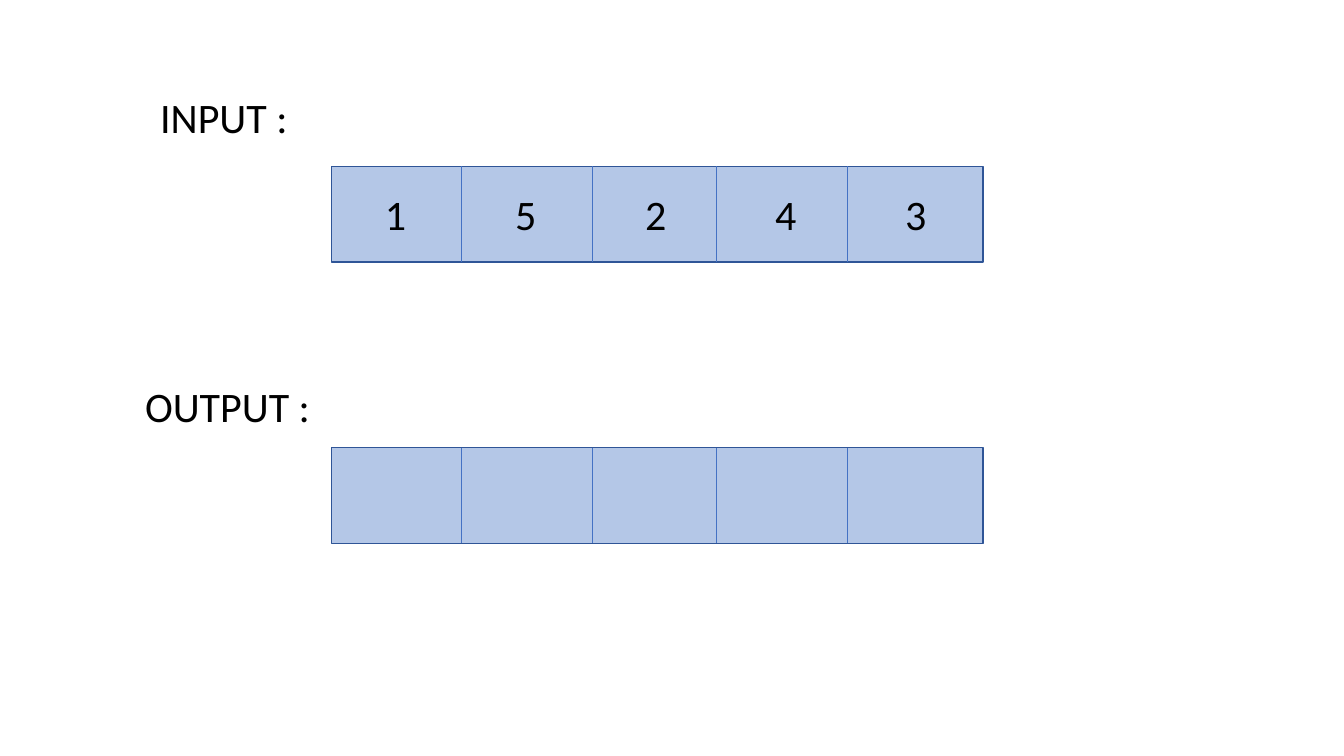
from pptx import Presentation
from pptx.dml.color import RGBColor
from pptx.enum.shapes import MSO_CONNECTOR, MSO_SHAPE
from pptx.enum.text import MSO_AUTO_SIZE
from pptx.util import Inches, Pt
from lxml import etree

RECT = MSO_SHAPE.RECTANGLE
LINE = MSO_CONNECTOR.STRAIGHT
GROW = MSO_AUTO_SIZE.SHAPE_TO_FIT_TEXT
FILL = RGBColor(0xB4, 0xC7, 0xE7)
EDGE = RGBColor(0x2F, 0x55, 0x97)
RULE = RGBColor(0x44, 0x72, 0xC4)
BLACK = RGBColor(0, 0, 0)
NS = "http://schemas.openxmlformats.org/drawingml/2006/main"

# Grid of the two arrays, in inches
LEFT, WIDTH, HIGH = 3.29, 6.46, 0.95
RULES = [4.58, 5.88, 7.1, 8.4]
DIGIT, STEP = 3.72, 1.29
TEXT_HIGH = 0.61

deck = Presentation()
deck.slide_width, deck.slide_height = Inches(13.33), Inches(7.5)
slide = deck.slides.add_slide(deck.slide_layouts[6])
shapes = slide.shapes


def add_text(text, left, top, width):
    box = shapes.add_textbox(Inches(left), Inches(top), Inches(width), Inches(TEXT_HIGH))
    frame = box.text_frame
    frame.word_wrap = True
    frame.auto_size = GROW
    para = frame.paragraphs[0]
    para.text = text
    para.font.name = "Calibri"
    para.font.size = Pt(30)
    para.font.color.rgb = BLACK


arrays = [
    ("INPUT :", 1.49, 0.86, 1.66, 1.65, "15243"),
    ("OUTPUT :", 1.34, 3.73, 1.95, 4.44, ""),
]
for label, left, label_top, width, top, digits in arrays:
    # Array bar
    bar = shapes.add_shape(RECT, Inches(LEFT), Inches(top), Inches(WIDTH), Inches(HIGH))
    bar.shadow.inherit = False
    bar.fill.solid()
    bar.fill.fore_color.rgb = FILL
    bar.line.color.rgb = EDGE
    bar.line.width = Pt(1)

    # Cell dividers
    for x in RULES:
        rule = shapes.add_connector(LINE, Inches(x), Inches(top), Inches(x), Inches(top + HIGH))
        rule.line.color.rgb = RULE
        rule.line.width = Pt(0.5)
        etree.SubElement(rule._element.spPr, f"{{{NS}}}effectLst")

    # Values and label
    for i, digit in enumerate(digits):
        add_text(digit, DIGIT + i * STEP, top + 0.17, 0.43)
    add_text(label, left, label_top, width)

deck.save("out.pptx")
